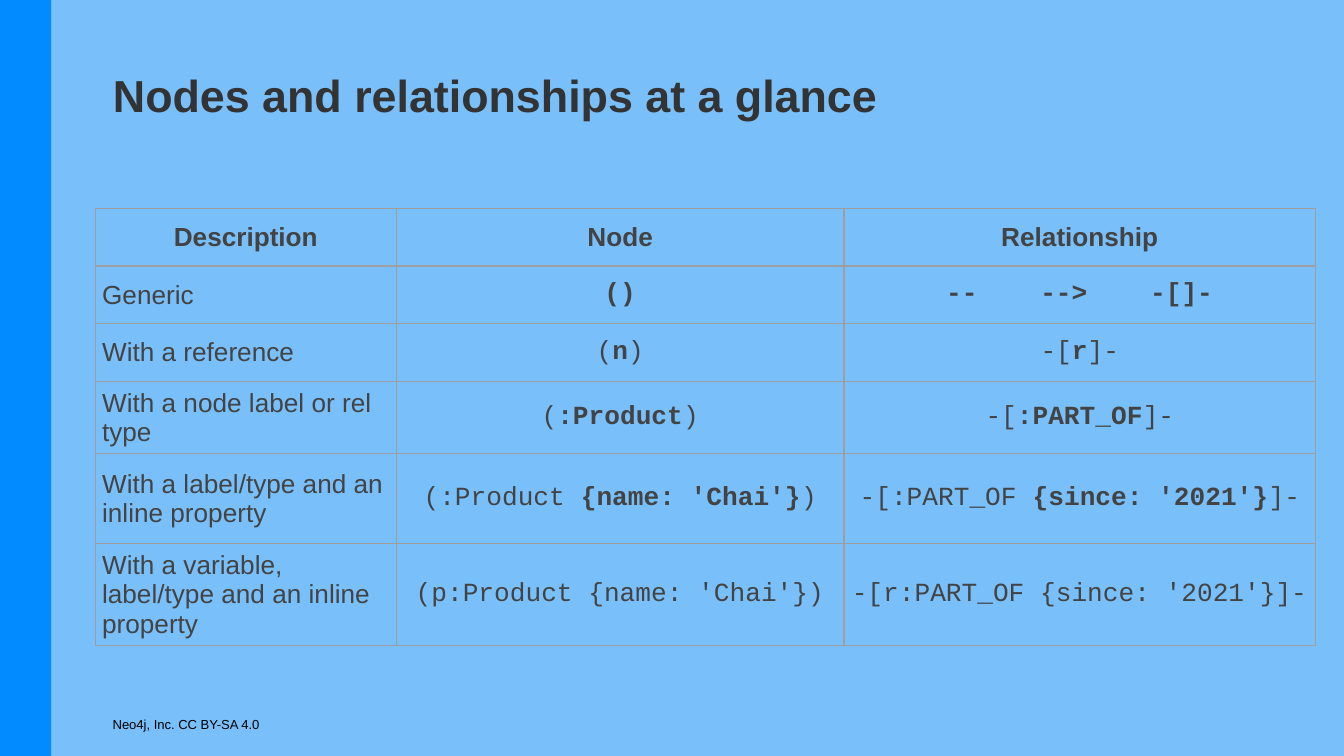
from collections import namedtuple
from dataclasses import dataclass

from lxml import etree
from pptx import Presentation
from pptx.dml.color import RGBColor
from pptx.enum.shapes import MSO_SHAPE
from pptx.enum.text import MSO_ANCHOR, MSO_AUTO_SIZE, PP_ALIGN
from pptx.oxml.ns import qn
from pptx.util import Inches, Pt

RECTANGLE = MSO_SHAPE.RECTANGLE
TOP, MIDDLE = MSO_ANCHOR.TOP, MSO_ANCHOR.MIDDLE
LEFT, CENTER = PP_ALIGN.LEFT, PP_ALIGN.CENTER
NO_AUTOFIT = MSO_AUTO_SIZE.NONE

Box = namedtuple("Box", "left top width height")


@dataclass(frozen=True)
class Theme:
    """Colours, fonts and type sizes of the slide."""
    background: str = "79BFFA"
    accent: str = "018BFF"
    heading: str = "333333"
    body: str = "434343"
    credit: str = "000000"
    border: str = "9E9E9E"
    text_font: str = "Arial"
    code_font: str = "Courier New"
    heading_size: float = 24
    body_size: float = 14
    credit_size: float = 7
    border_width: float = 0.75


THEME = Theme()
SLIDE_WIDTH = Inches(10)
SLIDE_HEIGHT = SLIDE_WIDTH * 9 // 16
TEXT_INSET, CELL_INSET = Inches(0.1), Inches(0.05)
COLUMN_SHARES = (2.24, 3.33, 3.51)
ROW_SHARES = (0.43, 0.43, 0.43, 0.43, 0.67, 0.43)
BOLD_MARK = "*"
HEADERS = ("Description", "Node", "Relationship")
PATTERNS = (
    ("Generic", "*()*", "*--    -->    -[]-*"),
    ("With a reference", "(*n*)", "-[*r*]-"),
    ("With a node label or rel type", "(*:Product*)", "-[*:PART_OF*]-"),
    ("With a label/type and an inline property",
     "(:Product *{name: 'Chai'}*)", "-[:PART_OF *{since: '2021'}*]-"),
    ("With a variable, label/type and an inline property",
     "(p:Product {name: 'Chai'})", "-[r:PART_OF {since: '2021'}]-"),
)


def inch_box(left, top, width, height):
    """Return a box in slide units from lengths in inches."""
    return Box(*(Inches(length) for length in (left, top, width, height)))


def format_font(font, name, size, color, bold=False):
    """Set the face, size, colour and weight of a font."""
    font.name, font.size, font.bold = name, Pt(size), bold
    font.color.rgb = RGBColor.from_string(color)


def fill_text(shape, text, size, color, anchor, bold=False):
    """Write one left-aligned line with even insets into a shape."""
    frame = shape.text_frame
    frame.text = text
    frame.word_wrap, frame.auto_size = True, NO_AUTOFIT
    frame.vertical_anchor = anchor
    frame.margin_left = frame.margin_right = TEXT_INSET
    frame.margin_top = frame.margin_bottom = TEXT_INSET
    paragraph = frame.paragraphs[0]
    paragraph.alignment = LEFT
    format_font(paragraph.runs[0].font, THEME.text_font, size, color, bold)


def add_side_bar(slide, box):
    """Place the accent bar."""
    bar = slide.shapes.add_shape(RECTANGLE, *box)
    bar.shadow.inherit = False
    bar.fill.solid()
    bar.fill.fore_color.rgb = RGBColor.from_string(THEME.accent)
    bar.line.fill.background()


def place_title(slide, box, text):
    """Move and format the title placeholder."""
    title = slide.shapes.title
    title.left, title.top, title.width, title.height = box
    fill_text(title, text, THEME.heading_size, THEME.heading, TOP, bold=True)


def add_credit(slide, box, text):
    """Place the licence line."""
    credit = slide.shapes.add_textbox(*box)
    fill_text(credit, text, THEME.credit_size, THEME.credit, MIDDLE)


def add_borders(cell):
    """Draw a thin line on all four sides of a cell."""
    properties = cell._tc.get_or_add_tcPr()
    for side in ("lnL", "lnR", "lnT", "lnB"):
        line = etree.SubElement(properties, qn(f"a:{side}"), w=str(Pt(THEME.border_width)))
        fill = etree.SubElement(line, qn("a:solidFill"))
        etree.SubElement(fill, qn("a:srgbClr"), val=THEME.border)


def fill_cell(cell, text, font_name, alignment, side_inset):
    """Write text into a cell, with marked parts in bold."""
    add_borders(cell)
    cell.fill.background()
    cell.vertical_anchor = MIDDLE
    cell.margin_left = cell.margin_right = side_inset
    cell.margin_top = cell.margin_bottom = CELL_INSET
    paragraph = cell.text_frame.paragraphs[0]
    paragraph.alignment = alignment
    for index, part in enumerate(text.split(BOLD_MARK)):
        if part:
            run = paragraph.add_run()
            run.text = part
            format_font(run.font, font_name, THEME.body_size, THEME.body, index % 2 == 1)


def add_pattern_table(slide, box):
    """Place the table of node and relationship patterns."""
    table = slide.shapes.add_table(len(ROW_SHARES), len(COLUMN_SHARES), *box).table
    table.first_row = table.horz_banding = False
    for column, share in zip(table.columns, COLUMN_SHARES):
        column.width = int(box.width * share / sum(COLUMN_SHARES))
    for row, share in zip(table.rows, ROW_SHARES):
        row.height = int(box.height * share / sum(ROW_SHARES))
    for column, header in enumerate(HEADERS):
        marked = f"{BOLD_MARK}{header}{BOLD_MARK}"
        fill_cell(table.cell(0, column), marked, THEME.text_font, CENTER, CELL_INSET)
    for row, (description, *codes) in enumerate(PATTERNS, start=1):
        fill_cell(table.cell(row, 0), description, THEME.text_font, LEFT, CELL_INSET)
        for column, code in enumerate(codes, start=1):
            fill_cell(table.cell(row, column), code, THEME.code_font, CENTER, 0)


def main():
    """Build and save the slide."""
    presentation = Presentation()
    presentation.slide_width, presentation.slide_height = SLIDE_WIDTH, SLIDE_HEIGHT
    slide = presentation.slides.add_slide(presentation.slide_layouts.get_by_name("Title Only"))
    slide.background.fill.solid()
    slide.background.fill.fore_color.rgb = RGBColor.from_string(THEME.background)
    add_credit(slide, inch_box(0.74, 5.22, 8.24, 0.34), "Neo4j, Inc. CC BY-SA 4.0")
    add_side_bar(slide, Box(0, 0, Inches(0.38), SLIDE_HEIGHT))
    place_title(slide, inch_box(0.74, 0.4, 8.8, 0.63), "Nodes and relationships at a glance")
    add_pattern_table(slide, inch_box(0.71, 1.55, sum(COLUMN_SHARES), sum(ROW_SHARES)))
    presentation.save("out.pptx")


if __name__ == "__main__":
    main()
